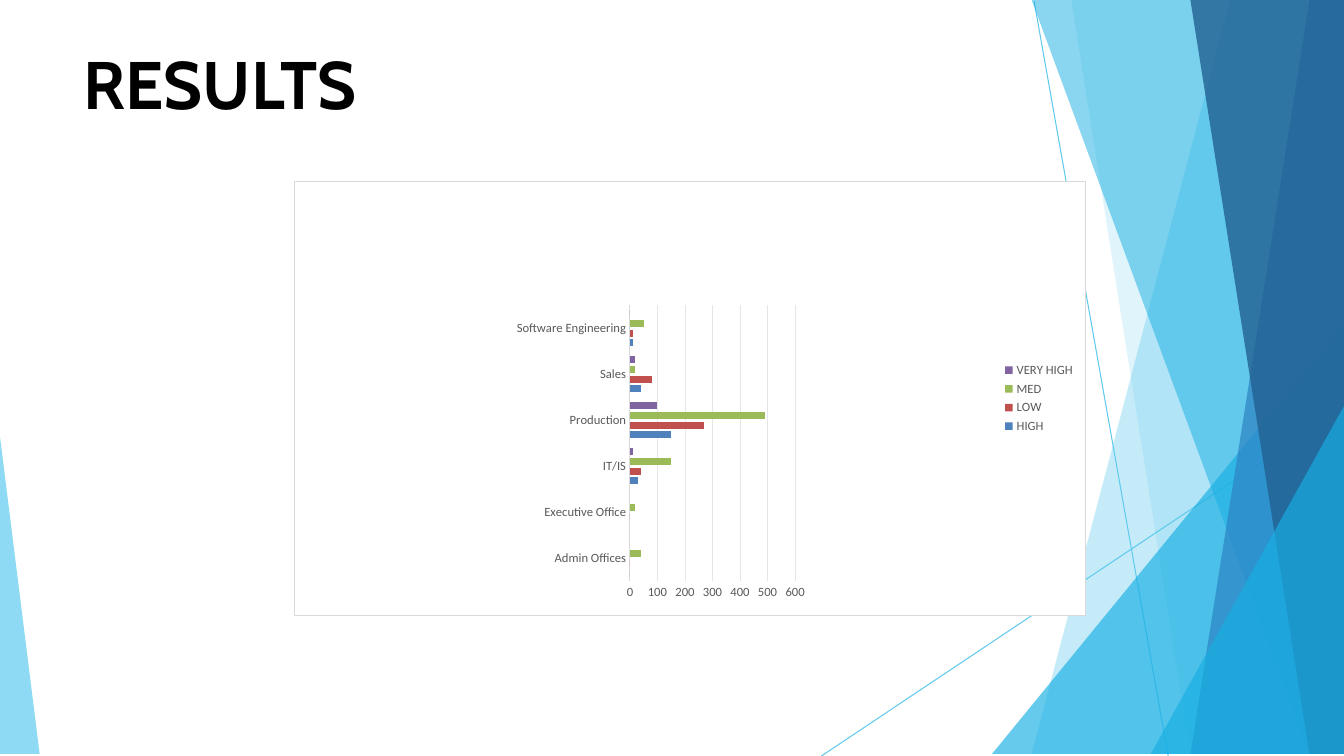
import pptx
import pptx.chart.data
import pptx.dml.color
import pptx.enum.chart
import pptx.enum.shapes
import pptx.oxml
import pptx.oxml.ns
import pptx.util
from lxml import etree

Cm, Pt = pptx.util.Cm, pptx.util.Pt
qn = pptx.oxml.ns.qn
RIGHT, BOTTOM = 33.87, 19.05


def paint(target, color, alpha=100):
    target.solid()
    target.fore_color.rgb = pptx.dml.color.RGBColor.from_string(color)
    if alpha < 100:
        srgb = target._xPr.find(".//" + qn("a:srgbClr"))
        etree.SubElement(srgb, qn("a:alpha"), val=str(alpha * 1000))


def style_font(font, name, size, color):
    font.name, font.size = name, Pt(size)
    paint(font.fill, color)


deck = pptx.Presentation()
deck.slide_width, deck.slide_height = Cm(RIGHT), Cm(BOTTOM)
slide = deck.slides.add_slide(deck.slide_layouts[6])

# Thin crossing lines
for x1, y1, x2, y2 in [(26.06, 0.03, 29.44, BOTTOM), (RIGHT, 10.26, 20.7, BOTTOM)]:
    ray = slide.shapes.add_connector(
        pptx.enum.shapes.MSO_CONNECTOR.STRAIGHT, Cm(x1), Cm(y1), Cm(x2), Cm(y2))
    paint(ray.line.fill, "5FCAEE")
    ray.line.width = Pt(0.75)
    etree.SubElement(ray._element.spPr, qn("a:effectLst"))

# Translucent facets: corners, colour, opacity
top_right, bottom_right = (RIGHT, 0), (RIGHT, BOTTOM)
facets = [
    ([top_right, (31.19, 0), (25.5, BOTTOM), bottom_right], "5FCAEE", 36),
    ([top_right, (26.67, 0), (30.02, BOTTOM), bottom_right], "5FCAEE", 20),
    ([(RIGHT, 8.46), (24.82, BOTTOM), bottom_right], "17AFE3", 66),
    ([top_right, (25.93, 0), (32.79, BOTTOM), bottom_right], "17AFE3", 50),
    ([top_right, (33.1, 0), (30.28, BOTTOM), bottom_right], "2D83C3", 70),
    ([top_right, (30.38, 0), (33.48, BOTTOM), bottom_right], "226192", 80),
    ([(RIGHT, 9.98), (28.8, BOTTOM), bottom_right], "17AFE3", 66),
    ([(0, 11.15), (0, BOTTOM), (1.24, BOTTOM)], "5FCAEE", 70),
]
for corners, color, opacity in facets:
    outline = slide.shapes.build_freeform(*corners[0], scale=Cm(1))
    outline.add_line_segments(corners[1:], close=True)
    facet = outline.convert_to_shape()
    paint(facet.fill, color, opacity)
    facet.line.fill.background()
    facet.shadow.inherit = False

# Title
title = slide.shapes.add_textbox(Cm(2.11), Cm(1.07), Cm(29.67), Cm(2.06)).text_frame
title.word_wrap = True
title.margin_left = title.margin_top = title.margin_right = title.margin_bottom = 0
heading = title.paragraphs[0].add_run()
heading.text = "RESULTS"
heading.font.bold = True
style_font(heading.font, "Cabin", 48, "000000")

# Performance ratings by department
ratings = pptx.chart.data.CategoryChartData()
ratings.categories = ["Admin Offices", "Executive Office", "IT/IS",
                      "Production", "Sales", "Software Engineering"]
levels = [
    ("HIGH", [0, None, 30, 150, 40, 10], "4F81BD"),
    ("LOW", [0, 0, 40, 270, 80, 10], "C0504D"),
    ("MED", [40, 20, 150, 490, 20, 50], "9BBB59"),
    ("VERY HIGH", [None, None, 10, 100, 20, 0], "8064A2"),
]
for level, counts, color in levels:
    ratings.add_series(level, counts)
chart = slide.shapes.add_chart(
    pptx.enum.chart.XL_CHART_TYPE.BAR_CLUSTERED,
    Cm(7.42), Cm(4.55), Cm(19.94), Cm(10.97), ratings).chart
chart.has_title = False
style_font(chart.font, "Calibri", 10, "000000")

bars = chart.plots[0]
bars.vary_by_categories = False
bars.gap_width, bars.overlap = 140, -40
for series, (level, counts, color) in zip(bars.series, levels):
    paint(series.format.fill, color)
    series.invert_if_negative = False

# Axes, gridlines and legend
for axis in (chart.category_axis, chart.value_axis):
    axis.major_tick_mark = axis.minor_tick_mark = pptx.enum.chart.XL_TICK_MARK.NONE
    style_font(axis.tick_labels.font, "Calibri", 9, "595959")
chart.value_axis.minimum_scale, chart.value_axis.maximum_scale = 0, 600
chart.value_axis.major_unit = 100
chart.value_axis.format.line.fill.background()
chart.value_axis.has_major_gridlines = True
for line, color in [(chart.category_axis.format.line, "D9D9D9"),
                    (chart.value_axis.major_gridlines.format.line, "E6E6E6")]:
    paint(line.fill, color)
    line.width = Pt(0.75)
chart.has_legend = True
chart.legend.position = pptx.enum.chart.XL_LEGEND_POSITION.RIGHT
chart.legend.include_in_layout = False
style_font(chart.legend.font, "Calibri", 9, "595959")

# Plot placement inside the chart
plot_area = chart._chartSpace.chart.plotArea
for old_layout in plot_area.findall(qn("c:layout")):
    plot_area.remove(old_layout)
layout = etree.Element(qn("c:layout"))
manual = etree.SubElement(layout, qn("c:manualLayout"))
for tag, value in [("layoutTarget", "inner"), ("xMode", "edge"), ("yMode", "edge"),
                   ("x", "0.424"), ("y", "0.286"), ("w", "0.209"), ("h", "0.636")]:
    etree.SubElement(manual, qn("c:" + tag), val=value)
plot_area.insert(0, layout)

# White chart panel with a grey border
panel = pptx.oxml.parse_xml(
    f'<c:spPr {pptx.oxml.ns.nsdecls("c", "a")}>'
    '<a:solidFill><a:srgbClr val="FFFFFF"/></a:solidFill>'
    f'<a:ln w="{Pt(0.75)}"><a:solidFill><a:srgbClr val="D9D9D9"/></a:solidFill></a:ln>'
    '</c:spPr>')
chart._chartSpace.chart.addnext(panel)

deck.save("out.pptx")
